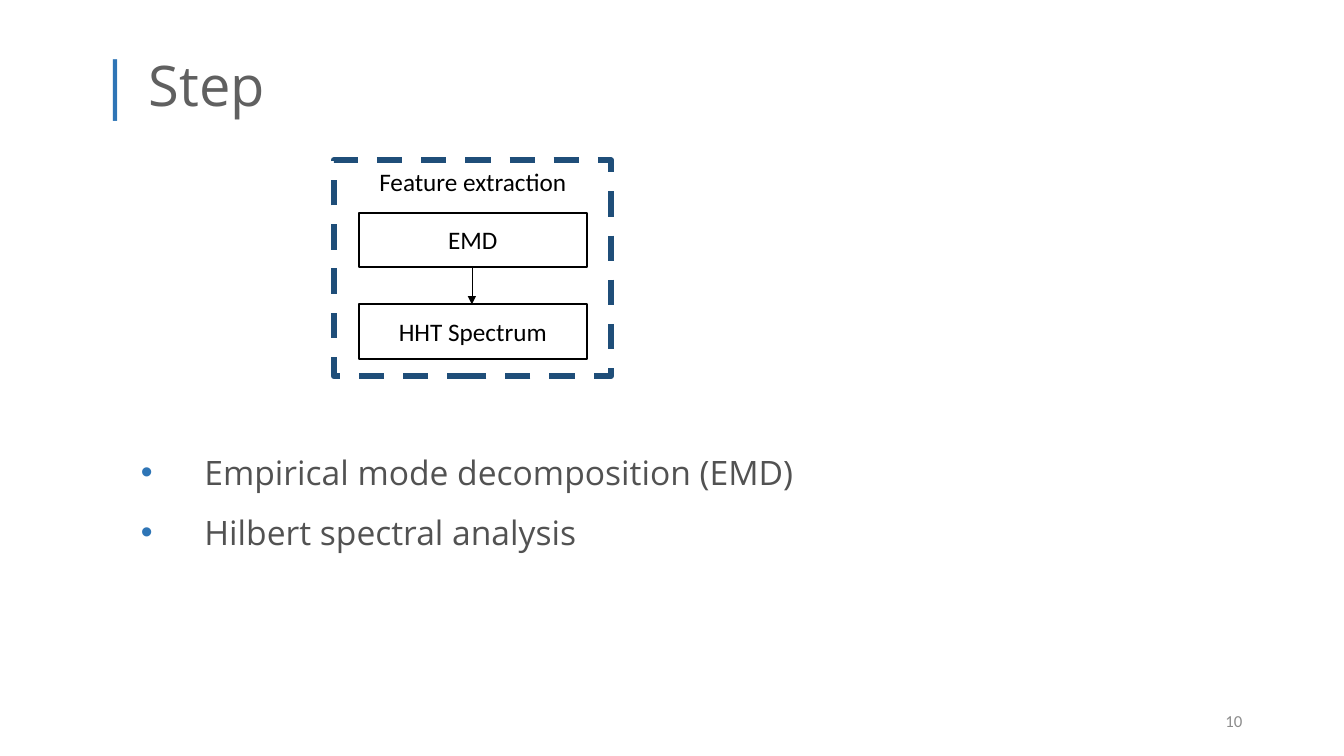
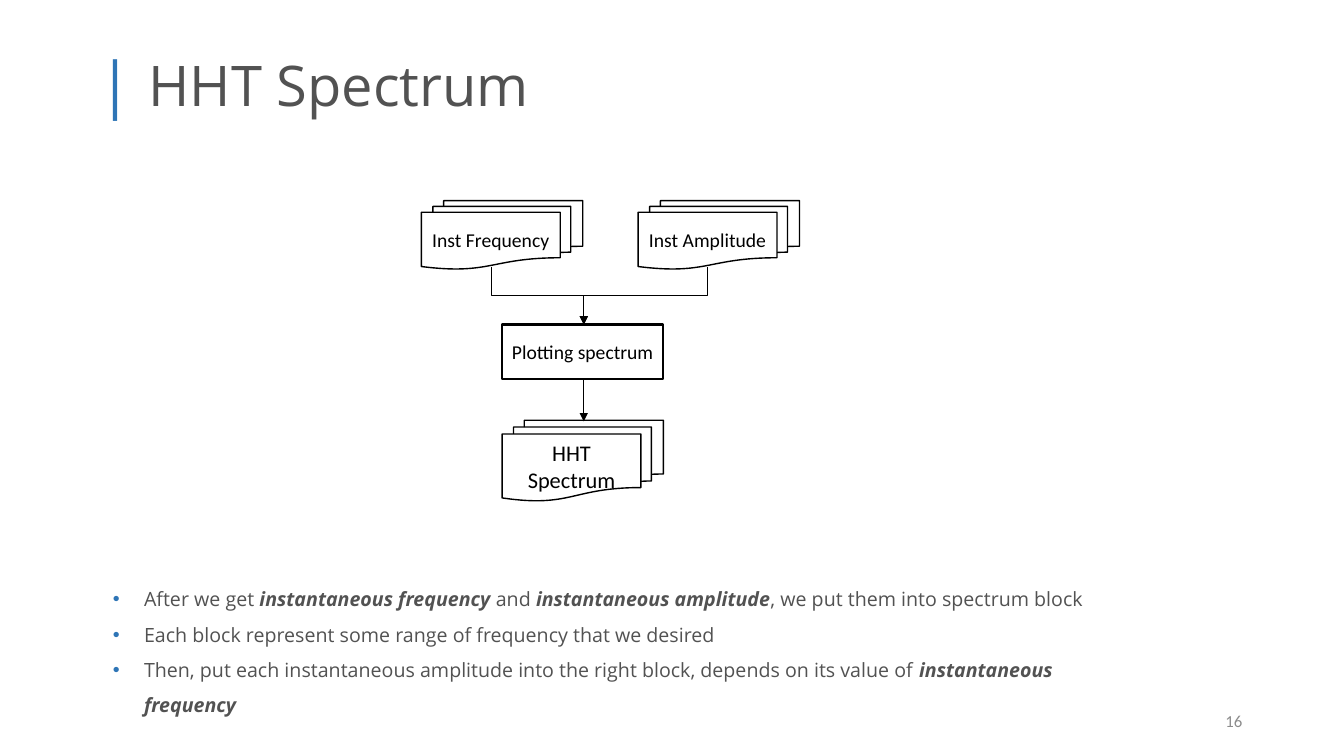
from lxml import etree
from pptx import Presentation
from pptx import util as u
from pptx.dml.color import RGBColor
from pptx.enum import dml, shapes, text
from pptx.oxml.ns import qn

COLOURS = {
    "accent": "2E75B6",
    "frame": "1F4E79",
    "body": "525252",
    "muted_title": "606060",
    "number": "8C8C8C",
    "black": "000000",
    "white": "FFFFFF",
}
HEADING_FONT = "Open Sans"
DIAGRAM_FONT = "Calibri"


def set_font(font, name, size, colour):
    font.name = name
    font.size = u.Pt(size)
    font.color.rgb = RGBColor.from_string(COLOURS[colour])


def add_text(page, left, top, width, height, anchor=text.MSO_ANCHOR.TOP):
    box = page.shapes.add_textbox(
        u.Inches(left), u.Inches(top), u.Inches(width), u.Inches(height)
    )
    box.text_frame.word_wrap = True
    box.text_frame.vertical_anchor = anchor
    return box.text_frame


deck = Presentation()
deck.slide_width = u.Inches(13.33)
deck.slide_height = u.Inches(7.5)

slides = [
    {
        "title": "Step",
        "title_colour": "muted_title",
        "number": "10",
        "body_at": (1.3, 4.23, 10.97, 1.25),
        "body_size": 24,
        "indent": 0.63,
        "bullets": [
            [("Empirical mode decomposition (EMD)", False)],
            [("Hilbert spectral analysis", False)],
        ],
    },
    {
        "title": "HHT Spectrum",
        "title_colour": "body",
        "number": "16",
        "body_at": (1.02, 5.66, 10.01, 1.51),
        "body_size": 14,
        "indent": 0.31,
        "bullets": [
            [
                ("After we get ", False),
                ("instantaneous frequency ", True),
                ("and ", False),
                ("instantaneous amplitude", True),
                (", we put them into spectrum block", False),
            ],
            [("Each block represent some range of frequency that we desired", False)],
            [
                ("Then, put each instantaneous amplitude into the right block, "
                 "depends on its value of ", False),
                ("instantaneous frequency", True),
            ],
        ],
    },
]

pages = []
for content in slides:
    page = deck.slides.add_slide(deck.slide_layouts[6])
    pages.append(page)

    para = add_text(page, 0.88, 0.41, 11.5, 0.89, text.MSO_ANCHOR.MIDDLE).paragraphs[0]
    para.line_spacing = 0.9
    for words, size, colour in [
        ("| ", 44, "accent"),
        (content["title"], 40, content["title_colour"]),
    ]:
        span = para.add_run()
        span.text = words
        set_font(span.font, HEADING_FONT, size, colour)

    para = add_text(page, 9.42, 6.95, 3, 0.4, text.MSO_ANCHOR.MIDDLE).paragraphs[0]
    para.text = content["number"]
    para.alignment = text.PP_ALIGN.RIGHT
    set_font(para.font, DIAGRAM_FONT, 12, "number")

    body = add_text(page, *content["body_at"])
    for index, bullet in enumerate(content["bullets"]):
        para = body.add_paragraph() if index else body.paragraphs[0]
        para.line_spacing = 1.5
        properties = para._p.get_or_add_pPr()
        properties.set("marL", str(u.Inches(content["indent"])))
        properties.set("indent", str(-u.Inches(content["indent"])))
        bullet_colour = etree.SubElement(properties, qn("a:buClr"))
        etree.SubElement(bullet_colour, qn("a:srgbClr"), val=COLOURS["accent"])
        etree.SubElement(properties, qn("a:buFont"), typeface="Arial")
        etree.SubElement(properties, qn("a:buChar"), char="•")
        set_font(para.font, HEADING_FONT, content["body_size"], "body")
        for words, stressed in bullet:
            span = para.add_run()
            span.text = words
            if stressed:
                span.font.bold = True
                span.font.italic = True

step_page, spectrum_page = pages

frame = step_page.shapes.add_shape(
    shapes.MSO_SHAPE.RECTANGLE,
    u.Inches(3.31), u.Inches(1.59), u.Inches(2.75), u.Inches(2.14),
)
frame.shadow.inherit = False
frame.fill.solid()
frame.fill.fore_color.rgb = RGBColor.from_string(COLOURS["white"])
frame.line.color.rgb = RGBColor.from_string(COLOURS["frame"])
frame.line.width = u.Pt(4.5)
frame.line.dash_style = dml.MSO_LINE.DASH

label = add_text(step_page, 3.65, 1.6, 2.08, 0.4)
label.word_wrap = False
para = label.paragraphs[0]
para.text = "Feature extraction"
para.alignment = text.PP_ALIGN.CENTER
set_font(para.font, DIAGRAM_FONT, 18, "black")

PROCESS = shapes.MSO_SHAPE.RECTANGLE
DOCUMENTS = shapes.MSO_SHAPE.FLOWCHART_MULTIDOCUMENT
nodes = {}
for page, key, words, kind, left, top, width, height, size in [
    (step_page, "emd", "EMD", PROCESS, 3.56, 2.11, 2.26, 0.54, 18),
    (step_page, "hht", "HHT Spectrum", PROCESS, 3.56, 3.02, 2.26, 0.54, 18),
    (spectrum_page, "frequency", "Inst Frequency", DOCUMENTS, 4.18, 1.99, 1.6, 0.68, 14),
    (spectrum_page, "amplitude", "Inst Amplitude", DOCUMENTS, 6.33, 1.99, 1.6, 0.68, 14),
    (spectrum_page, "plotting", "Plotting spectrum", PROCESS, 4.98, 3.22, 1.6, 0.54, 14),
    (spectrum_page, "spectrum", "HHT Spectrum", DOCUMENTS, 4.98, 4.17, 1.6, 0.8, 16),
]:
    node = page.shapes.add_shape(
        kind, u.Inches(left), u.Inches(top), u.Inches(width), u.Inches(height)
    )
    nodes[key] = node
    node.shadow.inherit = False
    node.fill.solid()
    node.fill.fore_color.rgb = RGBColor.from_string(COLOURS["white"])
    node.line.color.rgb = RGBColor.from_string(COLOURS["black"])
    node.line.width = u.Pt(1.5 if kind == PROCESS else 1)
    node.text_frame.word_wrap = True
    node.text_frame.vertical_anchor = text.MSO_ANCHOR.MIDDLE
    para = node.text_frame.paragraphs[0]
    para.text = words
    para.alignment = text.PP_ALIGN.CENTER
    set_font(para.font, DIAGRAM_FONT, size, "black")

for page, source, target, start, end, weight in [
    (step_page, "emd", "hht", (4.68, 2.65), (4.68, 3.02), 0.25),
    (spectrum_page, "plotting", "spectrum", (5.79, 3.75), (5.79, 4.18), 0.5),
    (spectrum_page, "frequency", "plotting", (4.87, 2.65), (5.79, 3.22), 0.5),
    (spectrum_page, "amplitude", "plotting", (7.02, 2.65), (5.79, 3.22), 0.5),
]:
    across, drop = end[0] - start[0], end[1] - start[1]
    kind = shapes.MSO_CONNECTOR.ELBOW if across else shapes.MSO_CONNECTOR.STRAIGHT
    arrow = page.shapes.add_connector(
        kind, u.Inches(start[0]), u.Inches(start[1]), u.Inches(end[0]), u.Inches(end[1])
    )
    if across:
        arrow.begin_connect(nodes[source], 2)
        arrow.end_connect(nodes[target], 0)
        arrow.left = u.Inches((start[0] + end[0] - drop) / 2)
        arrow.top = u.Inches((start[1] + end[1] - abs(across)) / 2)
        arrow.width = u.Inches(drop)
        arrow.height = u.Inches(abs(across))
        transform = arrow._element.spPr.find(qn("a:xfrm"))
        transform.set("rot", str((270 if across > 0 else 90) * 60000))
        transform.set("flipH", "1" if across > 0 else "0")
    arrow.line.color.rgb = RGBColor.from_string(COLOURS["black"])
    arrow.line.width = u.Pt(weight)
    etree.SubElement(arrow.line._get_or_add_ln(), qn("a:tailEnd"), type="triangle")
    etree.SubElement(arrow._element.spPr, qn("a:effectLst"))

deck.save("out.pptx")
